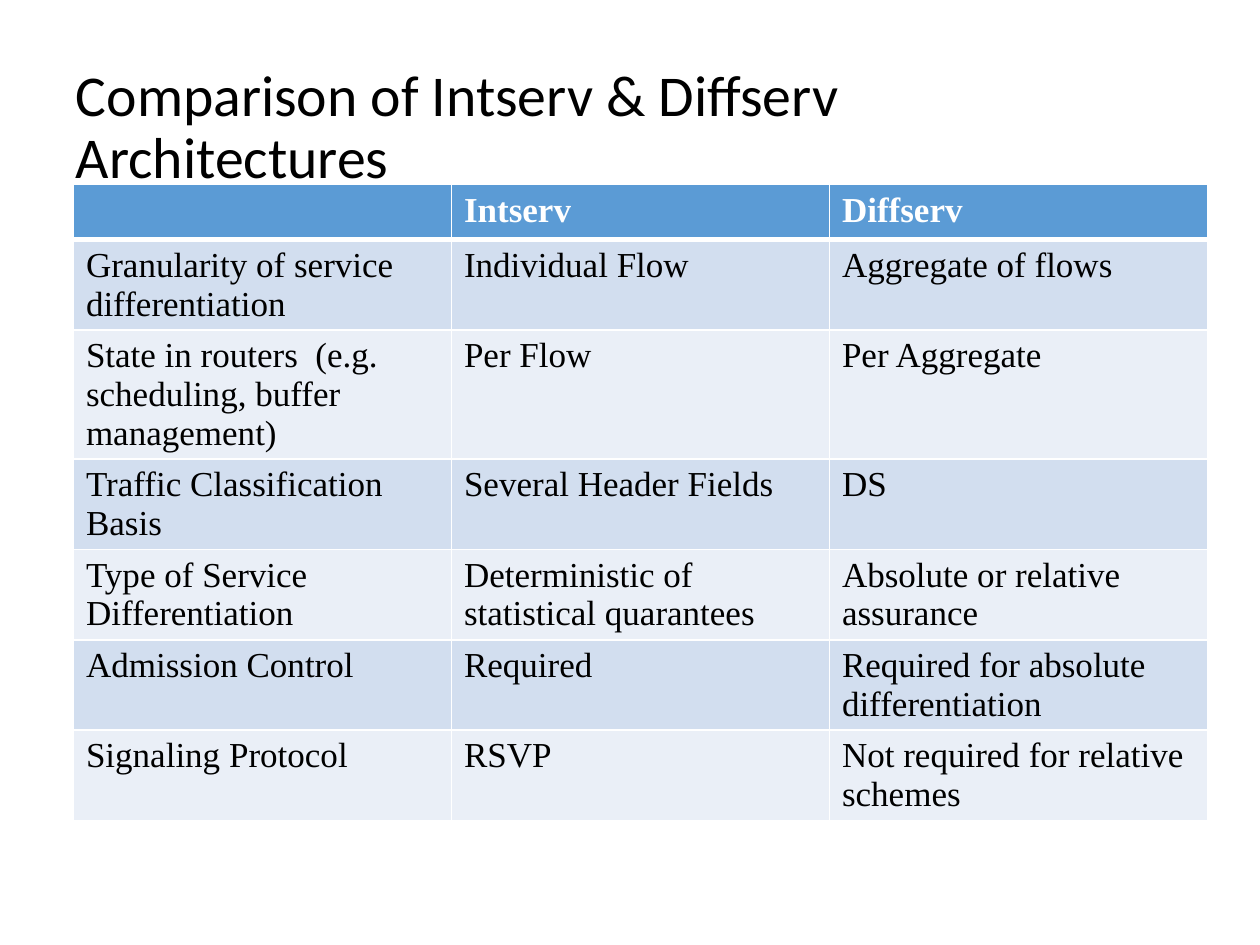
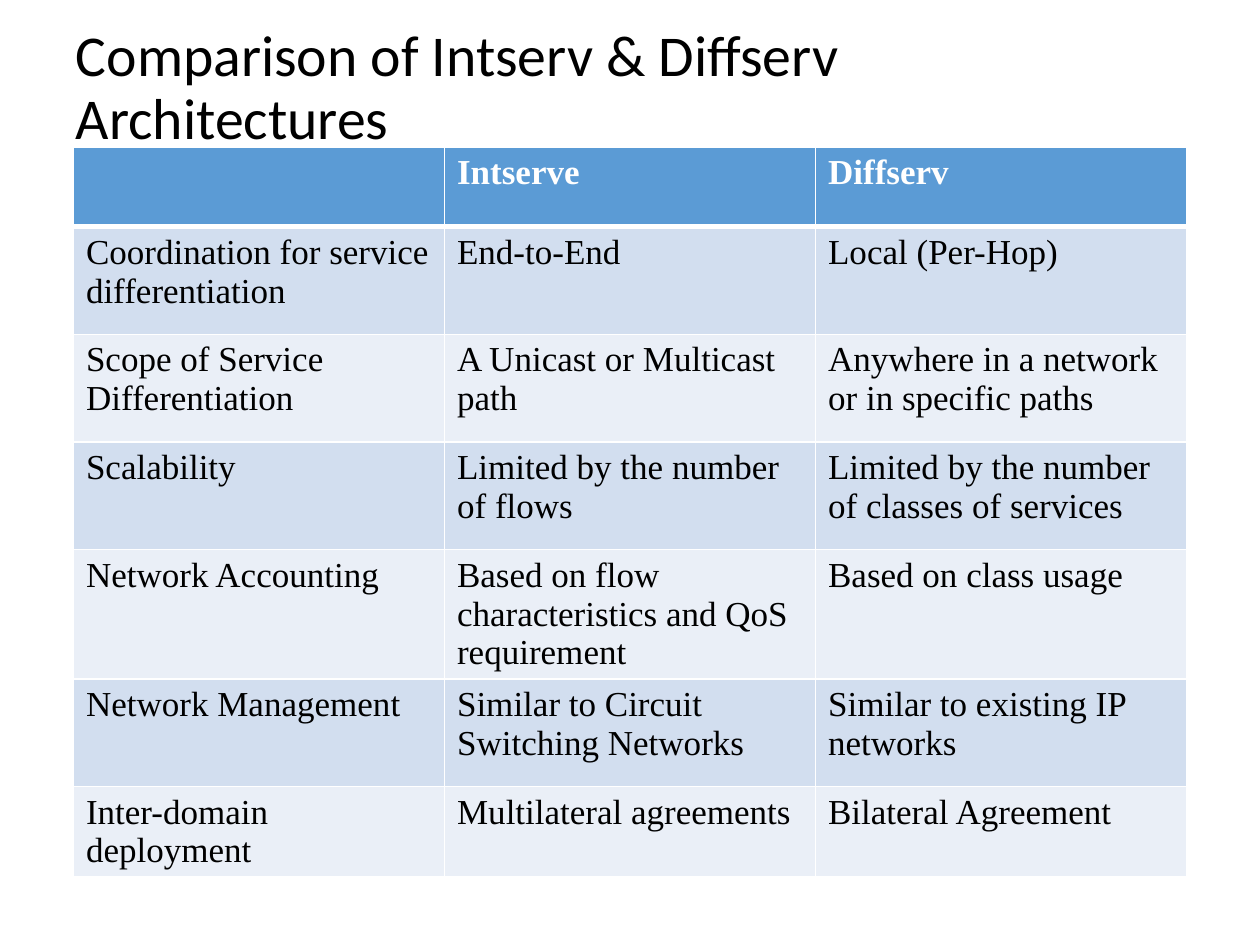
from lxml import etree
from pptx import Presentation
from pptx.dml.color import RGBColor
from pptx.enum.text import MSO_ANCHOR
from pptx.oxml.ns import qn
from pptx.util import Cm, Pt

MIDDLE = MSO_ANCHOR.MIDDLE
TITLE = "Comparison of Intserv & Diffserv Architectures"

ARCHITECTURE_ROWS = [
    ["", "Intserv", "Diffserv"],
    ["Granularity of service differentiation", "Individual Flow", "Aggregate of flows"],
    ["State in routers  (e.g. scheduling, buffer management)", "Per Flow", "Per Aggregate"],
    ["Traffic Classification Basis", "Several Header Fields", "DS"],
    ["Type of Service Differentiation", "Deterministic of statistical quarantees",
     "Absolute or relative assurance"],
    ["Admission Control", "Required", "Required for absolute differentiation"],
    ["Signaling Protocol", "RSVP", "Not required for relative schemes"],
]

OPERATION_ROWS = [
    ["", "Intserve", "Diffserv"],
    ["Coordination for service differentiation", "End-to-End", "Local (Per-Hop)"],
    ["Scope of Service Differentiation", "A Unicast or Multicast path",
     "Anywhere in a network or in specific paths"],
    ["Scalability", "Limited by the number of flows",
     "Limited by the number of classes of services"],
    ["Network Accounting", "Based on flow characteristics and QoS requirement",
     "Based on class usage"],
    ["Network Management", "Similar to Circuit Switching Networks",
     "Similar to existing IP networks"],
    ["Inter-domain deployment", "Multilateral agreements", "Bilateral Agreement"],
]


def color(value):
    return RGBColor.from_string(value)


class ComparisonDeck:
    title_font = "Calibri"
    table_font = "Times New Roman"
    ink = "000000"
    white = "FFFFFF"
    header_fill = "5B9BD5"
    band_fills = ("EAEFF7", "D2DEEF")
    table_left = 1.48
    table_line = 22.2

    def __init__(self):
        self.deck = Presentation()
        self.deck.slide_width = Cm(25.4)
        self.deck.slide_height = Cm(19.05)
        self.page = None

    def add_page(self):
        self.page = self.deck.slides.add_slide(self.deck.slide_layouts[6])

    def add_span(self, para, text, font, size, ink, bold=False):
        span = para.add_run()
        span.text = text
        span.font.name = font
        span.font.size = Pt(size)
        span.font.bold = bold
        span.font.color.rgb = color(ink)

    def add_title(self, text, height):
        box = self.page.shapes.add_textbox(Cm(1.28), Cm(0.64), Cm(22.35), Cm(height))
        frame = box.text_frame
        frame.word_wrap = True
        frame.vertical_anchor = MIDDLE
        para = frame.paragraphs[0]
        para.line_spacing = 0.9
        self.add_span(para, text, self.title_font, 33, self.ink)

    def add_borders(self, cell, top, bottom):
        properties = cell._tc.get_or_add_tcPr()
        for side, width in (("L", 1), ("R", 1), ("T", top), ("B", bottom)):
            line = etree.SubElement(properties, qn(f"a:ln{side}"), w=str(Pt(width)))
            fill = etree.SubElement(line, qn("a:solidFill"))
            etree.SubElement(fill, qn("a:srgbClr"), val=self.white)

    def add_comparison(self, rows, top, column_width, row_heights):
        columns = len(rows[0])
        table = self.page.shapes.add_table(
            len(rows), columns, Cm(self.table_left), Cm(top),
            Cm(column_width * columns), Cm(sum(row_heights))).table
        for column in table.columns:
            column.width = Cm(column_width)
        for index, (texts, height) in enumerate(zip(rows, row_heights)):
            table.rows[index].height = Cm(height)
            header = index == 0
            for position, text in enumerate(texts):
                cell = table.cell(index, position)
                self.add_borders(cell, 3 if index == 1 else 1, 3 if header else 1)
                cell.fill.solid()
                cell.fill.fore_color.rgb = color(
                    self.header_fill if header else self.band_fills[index % 2])
                para = cell.text_frame.paragraphs[0]
                para.line_spacing = Pt(self.table_line)
                if text:
                    self.add_span(para, text, self.table_font, 20,
                                  self.white if header else self.ink, header)

    def save(self):
        self.deck.save("out.pptx")


def main():
    comparison = ComparisonDeck()
    comparison.add_page()
    comparison.add_title(TITLE, 3.91)
    comparison.add_comparison(ARCHITECTURE_ROWS, 3.72, 7.62, [1.11] + [1.04] * 6)
    comparison.add_page()
    comparison.add_title(TITLE, 2.32)
    comparison.add_comparison(OPERATION_ROWS, 2.97, 7.48, [1.6] + [2.17] * 5 + [1.6])
    comparison.save()


if __name__ == "__main__":
    main()
